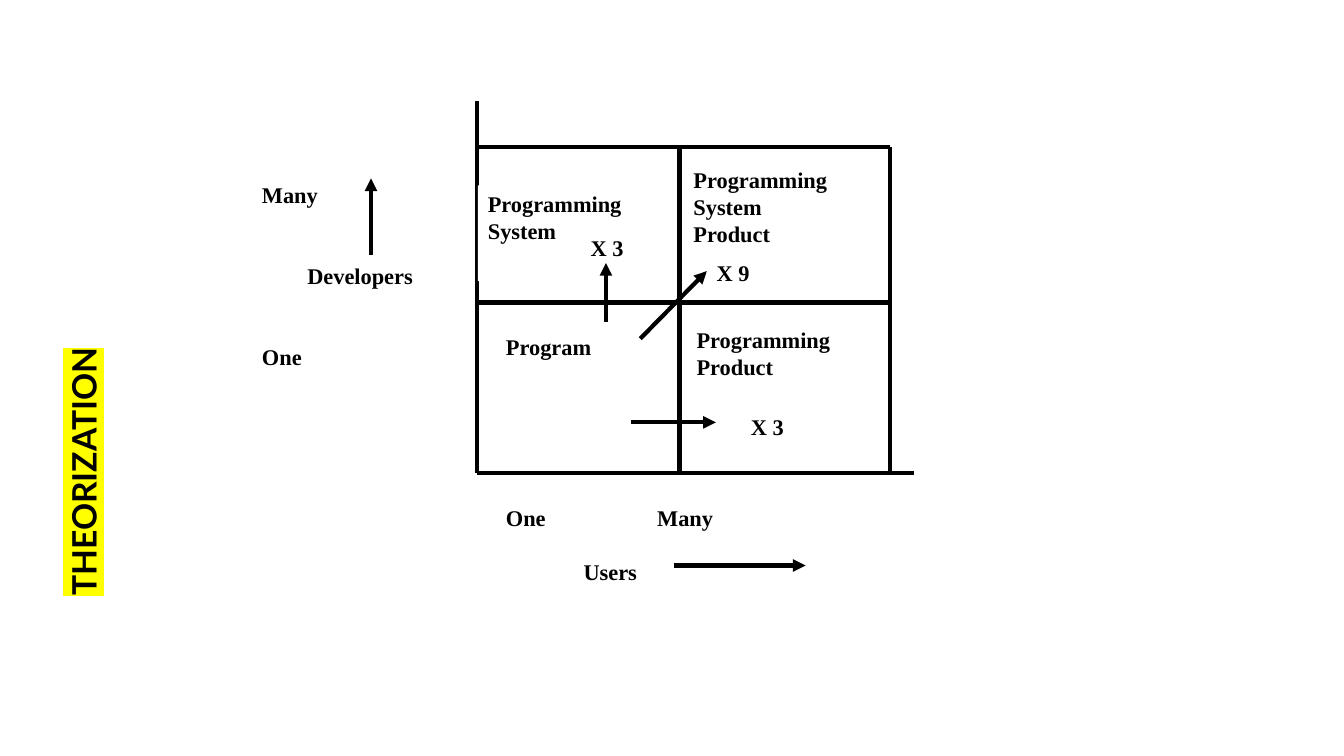
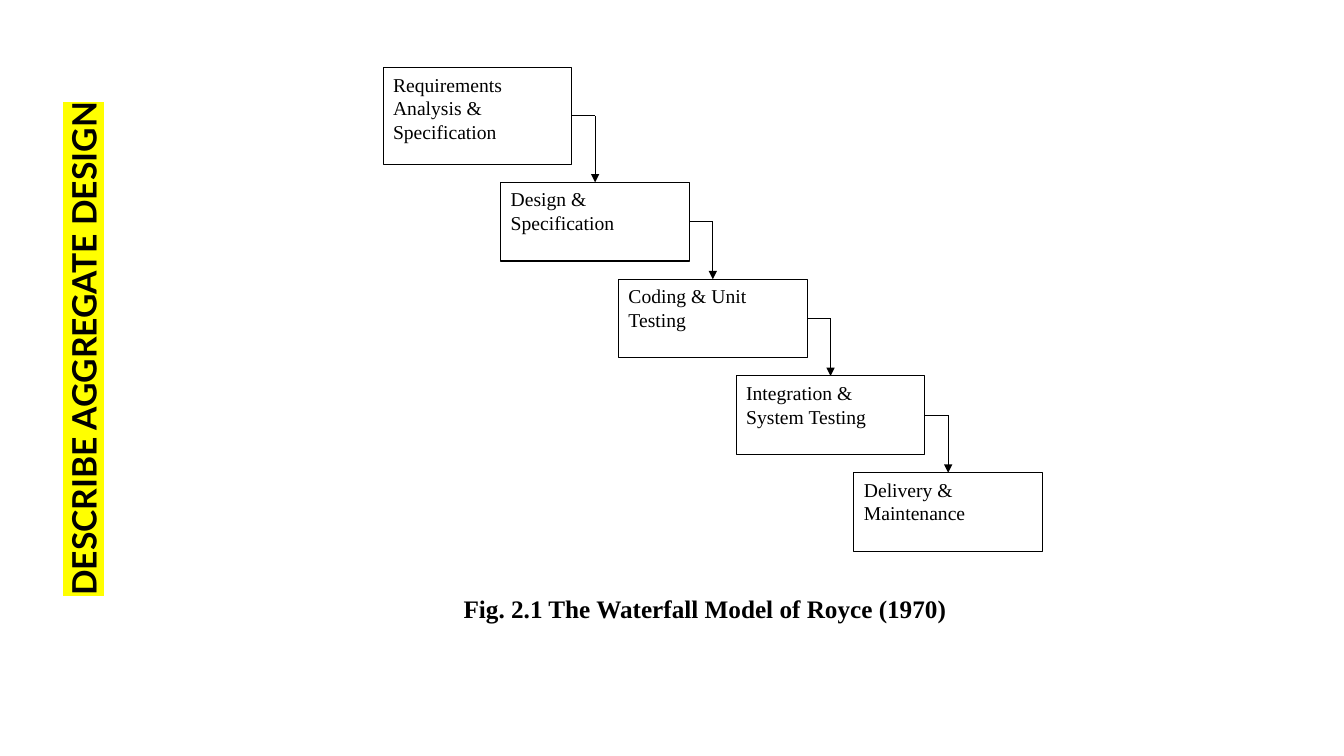
from lxml.etree import SubElement
from pptx import Presentation
from pptx.dml.color import RGBColor
from pptx.enum.shapes import MSO_CONNECTOR, MSO_SHAPE
from pptx.enum.text import MSO_ANCHOR, MSO_AUTO_SIZE, PP_ALIGN
from pptx.oxml.ns import qn
from pptx.util import Inches, Pt

BLACK = RGBColor(0x00, 0x00, 0x00)
WHITE = RGBColor(0xFF, 0xFF, 0xFF)
YELLOW = RGBColor(0xFF, 0xFF, 0x00)
TITLE_FONT = "Lato"
BODY_FONT = "Times New Roman"
TITLE_ONLY = 5
TOP, RIGHT = 0, 3


def write(frame, text, size, font=BODY_FONT, bold=False):
    frame.word_wrap = True
    frame.auto_size = MSO_AUTO_SIZE.NONE
    frame.vertical_anchor = MSO_ANCHOR.TOP
    frame.text = text
    for paragraph in frame.paragraphs:
        paragraph.alignment = PP_ALIGN.LEFT
        for run in paragraph.runs:
            run.font.name = font
            run.font.size = Pt(size)
            run.font.bold = bold
            run.font.color.rgb = BLACK


def indent(paragraph, distance):
    properties = paragraph._p.get_or_add_pPr()
    properties.set("marL", str(Inches(distance)))
    properties.set("indent", "0")


def add_titled_slide(deck, text):
    slide = deck.slides.add_slide(deck.slide_layouts[TITLE_ONLY])
    title = slide.shapes.title
    length, thickness = 5.36, 0.61
    center_x, center_y = 0.88, 3.33
    title.left, title.top = Inches(center_x - length / 2), Inches(center_y - thickness / 2)
    title.width, title.height = Inches(length), Inches(thickness)
    title.rotation = 270
    frame = title.text_frame
    write(frame, text, 24, TITLE_FONT, True)
    properties = frame.paragraphs[0].runs[0]._r.rPr
    highlight = SubElement(properties, qn("a:highlight"))
    SubElement(highlight, qn("a:srgbClr"), val=str(YELLOW))
    properties.find(qn("a:solidFill")).addnext(highlight)
    return slide


def add_label(slide, text, left, top, width, height):
    label = slide.shapes.add_textbox(
        Inches(left), Inches(top), Inches(width), Inches(height))
    write(label.text_frame, text, 16, bold=True)


def add_panel(slide, text, left, top, width, height, size=16, bold=True, outlined=False):
    panel = slide.shapes.add_shape(
        MSO_SHAPE.RECTANGLE,
        Inches(left), Inches(top), Inches(width), Inches(height))
    panel.shadow.inherit = False
    panel.fill.solid()
    panel.fill.fore_color.rgb = WHITE
    if outlined:
        panel.line.color.rgb = BLACK
        panel.line.width = Pt(0.75)
    else:
        panel.line.fill.background()
    write(panel.text_frame, text, size, bold=bold)
    return panel


def add_line(slide, start, end, weight=3, arrow=False):
    line = slide.shapes.add_connector(
        MSO_CONNECTOR.STRAIGHT, *(Inches(value) for value in (*start, *end)))
    line.line.color.rgb = BLACK
    line.line.width = Pt(weight)
    if arrow:
        SubElement(line.line._get_or_add_ln(), qn("a:tailEnd"), type="triangle")
    SubElement(line._element.spPr, qn("a:effectLst"))
    return line


def add_axis_captions(slide):
    users = add_panel(slide, "One\tMany\nUsers", 4.92, 4.95, 4.33, 1.55)
    scale, name = users.text_frame.paragraphs
    tabs = SubElement(scale._p.get_or_add_pPr(), qn("a:tabLst"))
    SubElement(tabs, qn("a:tab"), pos=str(Inches(1.5)), algn="l")
    indent(name, 0.77)
    name.space_before = Pt(19.3)

    developers = add_panel(slide, "Many\nDevelopers\nOne", 2.5, 1.48, 1.95, 3.18)
    developers.text_frame.margin_top = Inches(0.32)
    many, name, one = developers.text_frame.paragraphs
    indent(name, 0.45)
    for paragraph in (name, one):
        paragraph.space_before = Pt(38.5)


def build_theorization(deck):
    slide = add_titled_slide(deck, "THEORIZATION")
    axis, middle, right = 4.73, 6.74, 8.83
    top, center, bottom = 1.46, 3, 4.69

    add_axis_captions(slide)
    add_line(slide, (axis, 1), (axis, bottom))
    add_line(slide, (axis, bottom), (9.07, bottom))
    for y in (top, center):
        add_line(slide, (axis, y), (right, y))
    for x in (middle, right):
        add_line(slide, (x, top), (x, bottom))

    for quadrant in (
        ("Programming\nSystem", 4.74, 1.84, 1.92, 0.95),
        ("Program", 4.92, 3.26, 1.56, 1.21),
        ("Programming\nProduct", 6.81, 3.19, 1.95, 1.35),
        ("Programming\nSystem\nProduct", 6.78, 1.6, 1.93, 1.33),
    ):
        add_panel(slide, *quadrant)

    for text, left, y, width in (
        ("X 3", 5.76, 2.27, 0.75),
        ("X 9", 7.01, 2.52, 0.75),
        ("X 3", 7.35, 4.05, 1),
    ):
        add_label(slide, text, left, y, width, 0.37)

    for start, end in (
        ((3.68, 2.53), (3.68, 1.77)),
        ((6.68, 5.61), (7.99, 5.61)),
        ((6.01, 3.19), (6.01, 2.61)),
        ((6.35, 3.36), (7.01, 2.69)),
        ((6.26, 4.19), (7.1, 4.19)),
    ):
        add_line(slide, start, end, arrow=True)


def build_waterfall(deck):
    slide = add_titled_slide(deck, "DESCRIBE AGGREGATE DESIGN")
    left, top, width, gap = 3.8, 0.67, 1.87, 0.18
    shift = (8.47 - left) / 4
    previous = None
    for text, height in (
        ("Requirements Analysis & Specification", 0.96),
        ("Design & Specification", 0.78),
        ("Coding & Unit Testing", 0.78),
        ("Integration & System Testing", 0.78),
        ("Delivery & Maintenance", 0.78),
    ):
        step = add_panel(slide, text, left, top, width, height, 14, False, True)
        if previous:
            corner = (left + width / 2, exit_y)
            outflow = add_line(slide, (exit_x, exit_y), corner, 0.75)
            outflow.begin_connect(previous, RIGHT)
            inflow = add_line(slide, corner, (corner[0], top), 0.75, True)
            inflow.end_connect(step, TOP)
        previous, exit_x, exit_y = step, left + width, top + height / 2
        left += shift
        top += height + gap

    caption = add_panel(slide, "Fig. 2.1 The Waterfall Model of Royce (1970)",
                        3.33, 5.84, 6.53, 0.57, 18)
    indent(caption.text_frame.paragraphs[0], 1.17)


def main():
    deck = Presentation()
    deck.slide_width, deck.slide_height = Inches(13.33), Inches(7.5)
    build_theorization(deck)
    build_waterfall(deck)
    deck.save("out.pptx")


if __name__ == "__main__":
    main()
